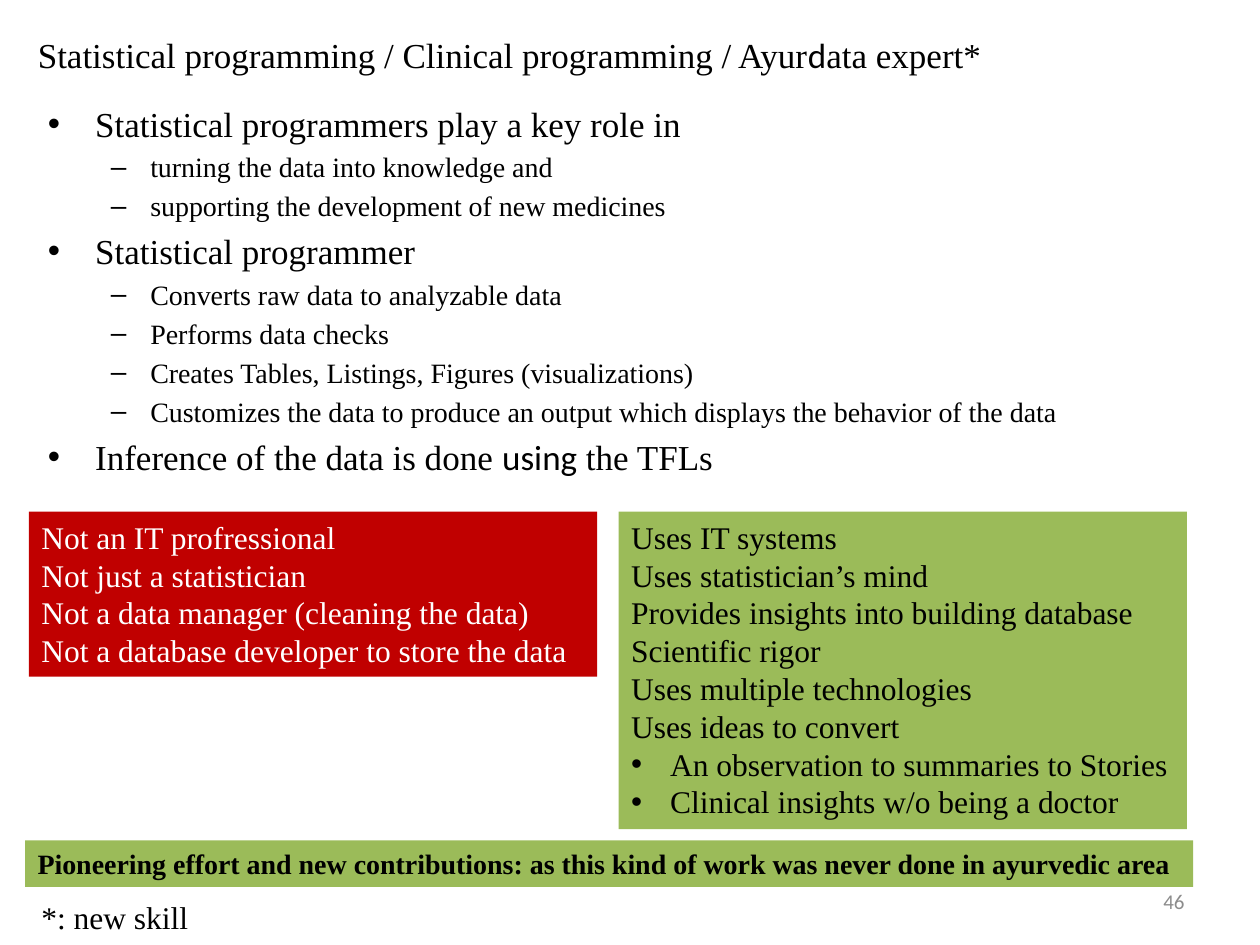
import pptx
import pptx.dml.color
import pptx.enum.shapes
import pptx.enum.text
import pptx.oxml.ns
import pptx.util
from lxml import etree
from pptx.util import Inches

COLOURS = {"ink": "000000", "paper": "FFFFFF", "red": "C00000",
           "green": "9BBB59", "grey": "8C8C8C"}
SERIF, SANS = "Times New Roman", "Calibri"
ALIGN = pptx.enum.text.PP_ALIGN
ANCHOR = pptx.enum.text.MSO_ANCHOR

TITLE = "Statistical programming / Clinical programming / Ayur|d|ata expert*"
ROLES = [
    (0, "Statistical programmers play a key role in"),
    (1, "turning the data into knowledge and"),
    (1, "supporting the development of new medicines"),
    (0, "Statistical programmer"),
    (1, "Converts raw data to analyzable data"),
    (1, "Performs data checks"),
    (1, "Creates Tables, Listings, Figures (visualizations)"),
    (1, "Customizes the data to produce an output which displays "
        "the behavior of the data"),
    (0, "Inference of the data is done |using| the TFLs"),
]
IS_NOT = ["Not an IT profressional", "Not just a statistician",
          "Not a data manager (cleaning the data)",
          "Not a database developer to store the data"]
USES = ["Uses IT systems", "Uses statistician’s mind",
        "Provides insights into building database", "Scientific rigor",
        "Uses multiple technologies", "Uses ideas to convert"]
CONVERSIONS = ["An observation to summaries to Stories",
               "Clinical insights w/o being a doctor"]
PIONEERING = ("Pioneering effort and new contributions: as this kind of work "
              "was never done in ayurvedic area")


def rgb(name):
    return pptx.dml.color.RGBColor.from_string(COLOURS[name])


def add_bullet(para, indent=0.31):
    properties = para._p.get_or_add_pPr()
    properties.set("marL", str(Inches(indent)))
    properties.set("indent", str(-Inches(indent)))
    for tag, key, value in (("a:buFont", "typeface", "Arial"),
                            ("a:buChar", "char", "•")):
        etree.SubElement(properties, pptx.oxml.ns.qn(tag)).set(key, value)


class SlideBuilder:
    def __init__(self, deck):
        self.page = deck.slides.add_slide(deck.slide_layouts[1])

    def add_spans(self, para, text, size, colour="ink", font=SERIF,
                  bold=False):
        """Fill a paragraph; words between bars are set in the sans font."""
        for index, part in enumerate(text.split("|")):
            span = para.add_run()
            span.text = part
            span.font.size = pptx.util.Pt(size)
            span.font.name = SANS if index % 2 else font
            span.font.bold = bold
            span.font.color.rgb = rgb(colour)

    def fill_frame(self, frame, lines, size, anchor=ANCHOR.TOP,
                   align=ALIGN.LEFT, **style):
        frame.word_wrap = True
        frame.auto_size = pptx.enum.text.MSO_AUTO_SIZE.NONE
        frame.vertical_anchor = anchor
        for index, line in enumerate(lines):
            para = frame.add_paragraph() if index else frame.paragraphs[0]
            para.alignment = align
            self.add_spans(para, line, size, **style)

    def place(self, shape, area):
        shape.left, shape.top, shape.width, shape.height = map(Inches, area)

    def title(self, area, text):
        heading = self.page.shapes.title
        self.place(heading, area)
        self.fill_frame(heading.text_frame, [text], 20, ANCHOR.MIDDLE)

    def outline(self, area, items, sizes=(20, 16)):
        body = self.page.placeholders[1]
        self.place(body, area)
        frame = body.text_frame
        frame.auto_size = pptx.enum.text.MSO_AUTO_SIZE.NONE
        for index, (level, text) in enumerate(items):
            para = frame.add_paragraph() if index else frame.paragraphs[0]
            para.level = level
            self.add_spans(para, text, sizes[level])

    def panel(self, area, fill, lines, size=18, bullets=(), **style):
        """Add a filled box of lines, with bulleted lines at its end."""
        box = self.page.shapes.add_shape(
            pptx.enum.shapes.MSO_SHAPE.RECTANGLE, *map(Inches, area))
        box.shadow.inherit = False
        box.fill.solid()
        box.fill.fore_color.rgb = rgb(fill)
        box.line.fill.background()
        self.fill_frame(box.text_frame, [*lines, *bullets], size, **style)
        for para in box.text_frame.paragraphs[len(lines):]:
            add_bullet(para)

    def label(self, area, text, size, **style):
        box = self.page.shapes.add_textbox(*map(Inches, area))
        self.fill_frame(box.text_frame, [text], size, **style)


def main():
    deck = pptx.Presentation()
    deck.slide_width, deck.slide_height = Inches(10), Inches(7.5)
    slide = SlideBuilder(deck)
    slide.title((0.2, 0.05, 8.83, 0.77), TITLE)
    slide.outline((0.28, 0.76, 9, 3.31), ROLES)
    slide.label((7.17, 6.95, 2.33, 0.4), "46", 12, anchor=ANCHOR.MIDDLE,
                align=ALIGN.RIGHT, colour="grey", font=SANS)
    slide.panel((0.23, 4.06, 4.51, 1.31), "red", IS_NOT, colour="paper")
    slide.panel((4.91, 4.06, 4.51, 2.52), "green", USES, bullets=CONVERSIONS)
    slide.panel((0.2, 6.67, 9.27, 0.37), "green", [PIONEERING], 16, bold=True)
    slide.label((0.23, 7.08, 2.88, 0.4), "*: new skill", 18)
    deck.save("out.pptx")


if __name__ == "__main__":
    main()
